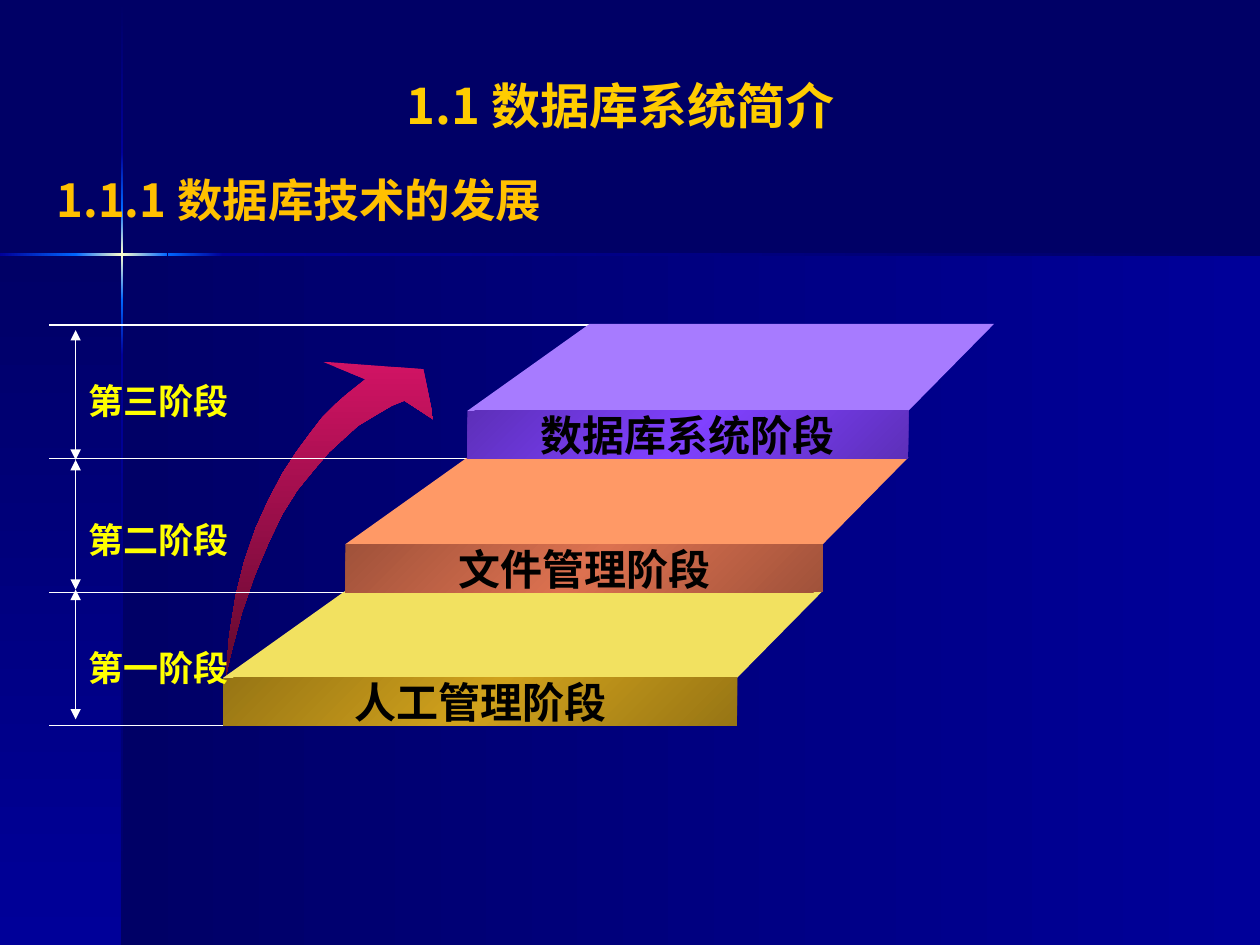
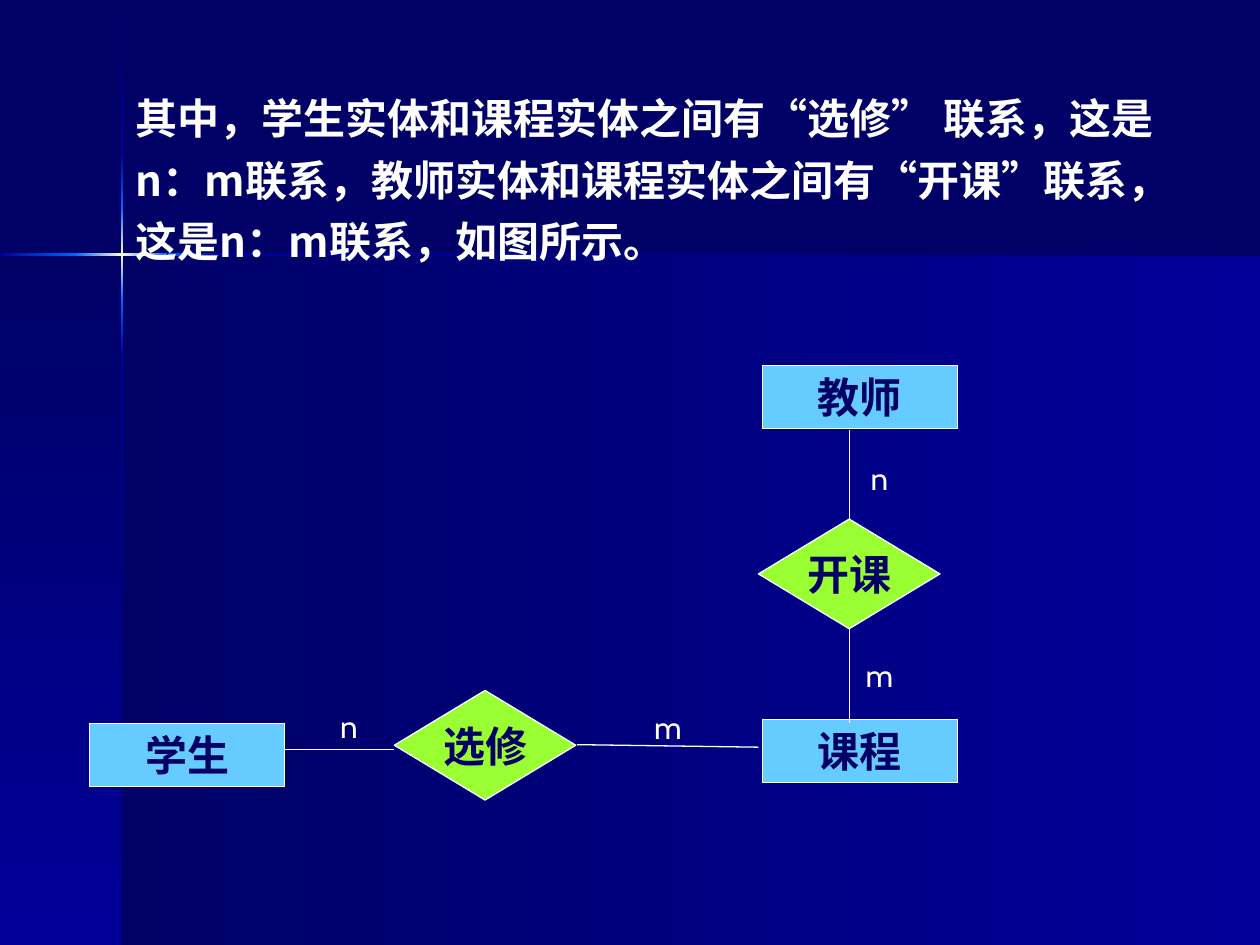
from copy import deepcopy

from lxml.etree import SubElement
from pptx import Presentation
from pptx.dml.color import RGBColor
from pptx.enum.shapes import MSO_CONNECTOR, MSO_SHAPE
from pptx.enum.text import MSO_ANCHOR, PP_ALIGN
from pptx.oxml.ns import qn
from pptx.util import Inches, Pt

NAVY, BLUE, GLOW, CREAM = "000066", "000099", "0066FF", "FFFFCC"
WHITE, BLACK, YELLOW = "FFFFFF", "000000", "FFFF00"
CJK, SANS, SERIF, LATIN = "Noto Sans CJK SC", "DejaVu Sans", "Times New Roman", "Cabin"

# Master panels and glowing cross: box, gradient colours, angle
BACKDROP = [
    ((0.97, 2.02, 9.03, 5.48), (NAVY, BLUE), 0),
    ((0, 2.02, 0.97, 5.48), (NAVY, BLUE), 90),
    ((0.96, 0.01, 0.02, 1.21), (NAVY, BLUE), 90),
    ((0.96, 2.82, 0.02, 4.68), (BLUE, NAVY), 90),
    ((1.77, 2.01, 8.23, 0.02), (BLUE, NAVY), 0),
    ((0.96, 2.38, 0.02, 0.44), (GLOW, BLUE), 90),
    ((0.96, 1.21, 0.02, 0.44), (BLUE, GLOW), 90),
    ((0.96, 1.65, 0.02, 0.73), (GLOW, CREAM, GLOW), 90),
    ((0, 2.01, 0.61, 0.02), (BLUE, GLOW), 0),
    ((1.33, 2.01, 0.44, 0.02), (GLOW, BLUE), 0),
    ((0.6, 2.01, 0.73, 0.02), (GLOW, CREAM, GLOW), 0),
]

# Outline of the rising arrow
ARROW = [
    (1.79, 5.38), (1.82, 5.04), (1.87, 4.73), (1.94, 4.45), (2.03, 4.19),
    (2.13, 3.97), (2.24, 3.76), (2.35, 3.59), (2.46, 3.44), (2.56, 3.31),
    (2.66, 3.21), (2.75, 3.13), (2.9, 3.01), (2.56, 2.87), (3.36, 2.93),
    (3.44, 3.33), (3.21, 3.18), (3.11, 3.22), (2.99, 3.29), (2.84, 3.38),
    (2.73, 3.48), (2.61, 3.59), (2.49, 3.73), (2.36, 3.89), (2.24, 4.08),
    (2.13, 4.31), (2.02, 4.57), (1.92, 4.86), (1.83, 5.2),
]


def rgb(hex_color):
    return RGBColor.from_string(hex_color)


class Deck:
    def __init__(self):
        self.prs = Presentation()
        self.prs.slide_width, self.prs.slide_height = Inches(10), Inches(7.5)
        self.s = None

    def new_slide(self):
        self.s = self.prs.slides.add_slide(self.prs.slide_layouts[6])
        fill = self.s.background.fill
        fill.solid()
        fill.fore_color.rgb = rgb(NAVY)
        for box, colors, angle in BACKDROP:
            self.shape(box, colors, angle)

    def paint(self, sp, colors, angle=0, outline=None):
        """Fill with one colour, or with a gradient of evenly spaced colours."""
        sp.shadow.inherit = False
        if isinstance(colors, str):
            sp.fill.solid()
            sp.fill.fore_color.rgb = rgb(colors)
        else:
            sp.fill.gradient()
            sp.fill.gradient_angle = -angle % 360
            stops = sp._element.spPr.find(".//" + qn("a:gsLst"))
            for _ in colors[2:]:
                stops.append(deepcopy(stops[0]))
            for i, (stop, color) in enumerate(zip(sp.fill.gradient_stops, colors)):
                stop.color.rgb = rgb(color)
                stop.position = i / (len(colors) - 1)
        if outline:
            sp.line.color.rgb = rgb(outline)
            sp.line.width = Pt(0.75)
        else:
            sp.line.fill.background()

    def shape(self, box, colors, angle=0, kind=MSO_SHAPE.RECTANGLE, outline=None):
        sp = self.s.shapes.add_shape(kind, *map(Inches, box))
        self.paint(sp, colors, angle, outline)
        return sp

    def polygon(self, points, colors, angle=0):
        pts = [(Inches(x), Inches(y)) for x, y in points]
        fb = self.s.shapes.build_freeform(*pts[0])
        fb.add_line_segments(pts[1:], close=True)
        self.paint(fb.convert_to_shape(), colors, angle)

    def line(self, x1, y1, x2, y2, arrows=False):
        c = self.s.shapes.add_connector(
            MSO_CONNECTOR.STRAIGHT, *map(Inches, (x1, y1, x2, y2)))
        c.line.color.rgb = rgb(WHITE)
        c.line.width = Pt(0.75)
        if arrows:
            ln = c._element.spPr.find(qn("a:ln"))
            for end in ("a:headEnd", "a:tailEnd"):
                SubElement(ln, qn(end), type="triangle")
        SubElement(c._element.spPr, qn("a:effectLst"))

    def label(self, sp, text, size, color, font, bold=True,
              align=PP_ALIGN.CENTER, wrap=False):
        tf = sp.text_frame
        tf.text = text
        tf.word_wrap = wrap
        tf.vertical_anchor = MSO_ANCHOR.MIDDLE
        p = tf.paragraphs[0]
        p.alignment = align
        r = p.runs[0]
        r.font.name, r.font.size, r.font.bold = font, Pt(size), bold
        r.font.color.rgb = rgb(color)
        SubElement(r._r.get_or_add_rPr(), qn("a:ea"), typeface=CJK)
        return p

    def text(self, box, text, size, color, font, **options):
        sp = self.s.shapes.add_textbox(*map(Inches, box))
        return self.label(sp, text, size, color, font, **options)


def stages_slide(d):
    d.new_slide()
    d.text((0.67, 0.55, 8.51, 0.57), "1.1 数据库系统简介", 28, "FFCC00", CJK, wrap=True)
    d.text((0.35, 1.31, 8.98, 0.54), "1.1.1 数据库技术的发展", 26, "FFC000", CJK,
           align=PP_ALIGN.LEFT, wrap=True)
    d.polygon(ARROW, ("D11364", "61092E"), 90)

    # Level lines and the spans between them
    rise, shift = 1.06, 0.97
    for i in range(4):
        d.line(1.77 + shift * i, 5.76 - rise * i, 0.39, 5.76 - rise * i)
    span = 1.03
    for i in range(3):
        d.line(0.6, 2.62 + span * i, 0.6, 2.62 + span * (i + 1), arrows=True)

    # Steps from the lowest up: name, tread, riser edge and centre
    steps = [
        ("人工管理阶段", "F2E160", "977514", "D0A11C"),
        ("文件管理阶段", "FF9966", "A0523A", "DC7150"),
        ("数据库系统阶段", "A77BFF", "5D2FB9", "8041FF"),
    ]
    for i, (name, tread, edge, center) in enumerate(steps):
        left, right, top = 1.77 + shift * i, 5.85 + 0.68 * i, 5.38 - rise * i
        back = top - 0.69
        d.polygon([(right, top), (left, top), (left + shift, back),
                   (right + 0.68, back)], tread)
        sp = d.shape((left, top, right - left, 0.38), (edge, center, edge), 45)
        d.label(sp, name, 24, BLACK, CJK)

    for y, name in ((2.96, "第三阶段"), (4.06, "第二阶段"), (5.08, "第一阶段")):
        d.text((0.6, y, 1.31, 0.44), name, 20, YELLOW, SANS)


def relations_slide(d):
    d.new_slide()

    # Entities and relationships
    for x, y, name in ((6.05, 5.71, "课程"), (0.71, 5.74, "学生"), (6.05, 2.9, "教师")):
        sp = d.shape((x, y, 1.55, 0.5), "66CCFF", outline=WHITE)
        d.label(sp, name, 24, NAVY, SERIF)
    for x, y, name in ((3.13, 5.48, "选修"), (6.02, 4.12, "开课")):
        sp = d.shape((x, y, 1.44, 0.87), "99FF33", kind=MSO_SHAPE.DIAMOND, outline=WHITE)
        d.label(sp, name, 24, NAVY, SERIF)

    # Links and their cardinalities
    for ends in ((6.74, 4.98, 6.74, 5.74), (6.74, 3.41, 6.74, 4.12),
                 (4.58, 5.91, 6.02, 5.93), (2.26, 5.95, 3.13, 5.95)):
        d.line(*ends)
    for x, y, mark in ((6.62, 3.59, "n"), (6.62, 5.16, "m"),
                       (2.41, 5.56, "n"), (4.94, 5.57, "m")):
        d.text((x, y, 0.72, 0.4), mark, 18, WHITE, LATIN, bold=False)

    # Explanation
    p = d.text((0.98, 0.61, 8.35, 1.54),
               "其中，学生实体和课程实体之间有“选修” 联系，这是n：m联系，"
               "教师实体和课程实体之间有“开课”联系，这是n：m联系，如图所示。",
               24, WHITE, CJK, align=PP_ALIGN.LEFT, wrap=True)
    p.line_spacing = Pt(35)


def main():
    d = Deck()
    stages_slide(d)
    relations_slide(d)
    d.prs.save("out.pptx")


if __name__ == "__main__":
    main()
